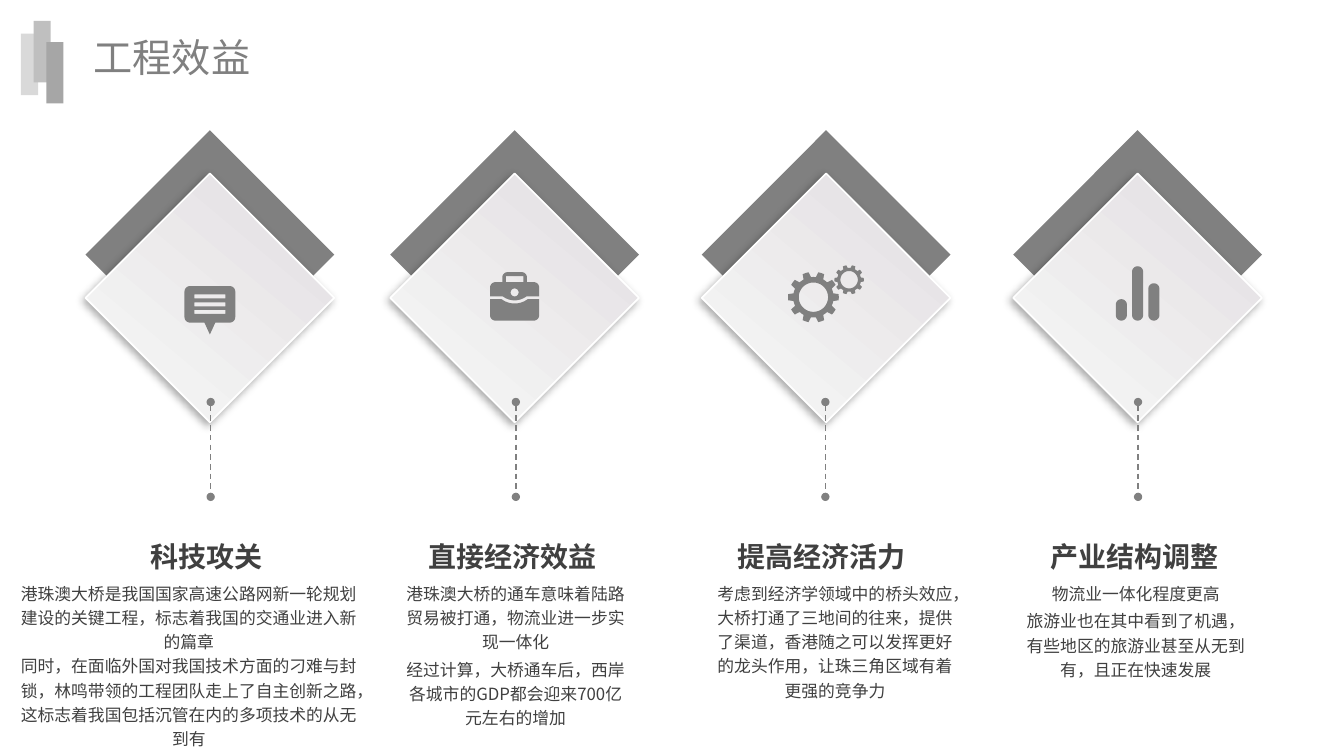
from dataclasses import dataclass
from math import cos, radians, sin

from lxml import etree
from pptx import Presentation
from pptx import util as u
from pptx.dml.color import RGBColor
from pptx.enum import dml, shapes, text
from pptx.oxml.ns import qn


@dataclass(frozen=True)
class Theme:
    font: str = "Noto Sans CJK SC"
    gray: RGBColor = RGBColor(0x80, 0x80, 0x80)
    ink: RGBColor = RGBColor(0x40, 0x40, 0x40)
    white: RGBColor = RGBColor(0xFF, 0xFF, 0xFF)
    marks: tuple = ("D9D9D9", "BFBFBF", "A6A6A6")
    fade: tuple = ((0, "E2DDE1"), (0.76, "F2F2F2"))
    title: int = 28
    head: int = 20
    body: int = 12


theme = Theme()
deck = Presentation()
deck.slide_width, deck.slide_height = u.Cm(33.87), u.Cm(19.05)
slide = deck.slides.add_slide(deck.slide_layouts[6])


def write(lines, left, top, width, height, size, color=theme.ink, bold=False,
          align=text.PP_ALIGN.CENTER, wrap=False, space=None, gap=0):
    box = slide.shapes.add_textbox(u.Cm(left), u.Cm(top), u.Cm(width), u.Cm(height))
    frame = box.text_frame
    frame.word_wrap = wrap
    for i, line in enumerate(lines):
        para = frame.paragraphs[0] if i == 0 else frame.add_paragraph()
        para.alignment = align
        para.line_spacing = space
        if i:
            para.space_before = u.Pt(gap)
        run = para.add_run()
        run.text = line
        font = run.font
        font.size, font.bold, font.name = u.Pt(size), bold, theme.font
        font.color.rgb = color
        etree.SubElement(run._r.get_or_add_rPr(), qn("a:ea"), typeface=theme.font)


def trace(group, mid, *loops):
    """Fill closed loops of (x, y) points and (x, y, radius, from, to) arcs, x counted from mid."""
    pen = None
    for loop in loops:
        dots = []
        for x, y, *arc in loop:
            if arc:
                r, a, b = arc
                count = max(2, round(abs(b - a) / 10))
                turns = [radians(a + (b - a) * i / count) for i in range(count + 1)]
                dots += [(x + r * cos(t), y + r * sin(t)) for t in turns]
            else:
                dots.append((x, y))
        dots = [(u.Cm(mid + x), u.Cm(y)) for x, y in dots]
        if pen is None:
            pen = group.shapes.build_freeform(*dots[0], scale=1.0)
        else:
            pen.move_to(*dots[0])
        pen.add_line_segments(dots[1:], close=True)
    shape = pen.convert_to_shape()
    shape.shadow.inherit = False
    shape.fill.solid()
    shape.fill.fore_color.rgb = theme.gray
    shape.line.fill.background()


# Title and its three bars
for i, (top, color) in enumerate(zip((0.85, 0.53, 1.06), theme.marks)):
    mark = slide.shapes.add_shape(shapes.MSO_SHAPE.RECTANGLE, u.Cm(0.53 + 0.32 * i),
                                  u.Cm(top), u.Cm(0.43), u.Cm(1.55))
    mark.shadow.inherit = False
    mark.fill.solid()
    mark.fill.fore_color.rgb = RGBColor.from_string(color)
    mark.line.fill.background()
write(["工程效益"], 2.11, 0.71, 4.47, 1.45, theme.title, theme.gray,
      align=text.PP_ALIGN.LEFT)

# Diamonds
side = 6.27
mids = (5.29, 12.97, 20.82, 28.67)
for mid in mids:
    back, front = [
        slide.shapes.add_shape(shapes.MSO_SHAPE.DIAMOND, u.Cm(mid - side / 2), u.Cm(top),
                               u.Cm(side), u.Cm(side))
        for top in (3.28, 4.37)]
    back.shadow.inherit = front.shadow.inherit = False
    back.fill.solid()
    back.fill.fore_color.rgb = theme.gray
    back.line.fill.background()
    front.fill.gradient()
    front.fill.gradient_angle = 230
    for stop, (place, color) in zip(front.fill.gradient_stops, theme.fade):
        stop.position = place
        stop.color.rgb = RGBColor.from_string(color)
    front.line.color.rgb = theme.white
    front.line.width = u.Pt(1.25)
    glow = etree.SubElement(front._element.spPr.find(qn("a:effectLst")), qn("a:outerShdw"),
                            blurRad=str(u.Pt(6)), dist=str(u.Pt(3)), dir="8100000",
                            algn="tr", rotWithShape="0")
    black = etree.SubElement(glow, qn("a:srgbClr"), val="000000")
    etree.SubElement(black, qn("a:alpha"), val="32000")

# Icons
chat, case, gears, chart = [slide.shapes.add_group_shape() for _ in mids]

rows = [[(-0.39, y), (0.39, y), (0.39, y + 0.1), (-0.39, y + 0.1)]
        for y in (7.42, 7.62, 7.81)]
trace(chat, mids[0], [(-0.16, 8.08), (0.16, 8.08), (0, 8.43)])
trace(chat, mids[0], [(-0.5, 7.35, 0.14, 180, 270), (0.5, 7.35, 0.14, 270, 360),
                      (0.5, 7.99, 0.14, 0, 90), (-0.5, 7.99, 0.14, 90, 180)], *rows)

trace(case, mids[1], [(-0.62, 7.54), (0, 7.1, 0.55, 127, 53), (0.62, 7.54),
                      (0.48, 7.94, 0.14, 0, 90), (-0.48, 7.94, 0.14, 90, 180)])
trace(case, mids[1],
      [(-0.62, 7.47), (-0.48, 7.25, 0.14, 180, 270), (-0.31, 7.11),
       (-0.18, 6.99, 0.13, 180, 270), (0.18, 6.99, 0.13, 270, 360), (0.31, 7.11),
       (0.48, 7.25, 0.14, 270, 360), (0.62, 7.47), (0, 7.07, 0.5, 53, 127)],
      [(-0.22, 6.96), (0.22, 6.96), (0.22, 7.11), (-0.22, 7.11)],
      [(0, 7.37, 0.1, 0, 360)])

for x, y, tip, root, hole in ((-0.32, 7.49, 0.64, 0.51, 0.37), (0.58, 7.05, 0.37, 0.3, 0.22)):
    teeth = []
    for a in range(0, 360, 36):
        teeth += [(x, y, tip, a - 7, a + 7), (x, y, root, a + 11, a + 25)]
    trace(gears, mids[2], teeth, [(x, y, hole, 0, 360)])

for x, top in ((-0.41, 7.54), (0, 6.71), (0.41, 7.14)):
    trace(chart, mids[3], [(x, top + 0.14, 0.14, 180, 360), (x, 7.94, 0.14, 0, 180)])

# Dashed stems
for x in (5.31, 13, 20.8, 28.68):
    stem = slide.shapes.add_connector(shapes.MSO_CONNECTOR.STRAIGHT, u.Cm(x), u.Cm(10.13),
                                      u.Cm(x), u.Cm(12.52))
    stem.line.color.rgb = theme.gray
    stem.line.width = u.Pt(1)
    stem.line.dash_style = dml.MSO_LINE.DASH
    for end in ("headEnd", "tailEnd"):
        etree.SubElement(stem.line._get_or_add_ln(), qn("a:" + end), type="oval")
    etree.SubElement(stem._element.spPr, qn("a:effectLst"))

# Heads and body copy: head, centre of head, body left, width, height, gap, lines
parts = (
    ("科技攻关", 5.21, 0.25, 9.02, 4.22, 0, [
        "港珠澳大桥是我国国家高速公路网新一轮规划建设的关键工程，标志着我国的交通业进入新的篇章",
        "同时，在面临外国对我国技术方面的刁难与封锁，林鸣带领的工程团队走上了自主创新之路，"
        "这标志着我国包括沉管在内的多项技术的从无到有"]),
    ("直接经济效益", 12.92, 9.86, 6.27, 4.04, 2.4, [
        "港珠澳大桥的通车意味着陆路贸易被打通，物流业进一步实现一体化",
        "经过计算，大桥通车后，西岸各城市的GDP都会迎来700亿元左右的增加"]),
    ("提高经济活力", 20.71, 17.68, 6.73, 3.33, 2.4, [
        "考虑到经济学领域中的桥头效应，大桥打通了三地间的往来，提供了渠道，"
        "香港随之可以发挥更好的龙头作用，让珠三角区域有着更强的竞争力"]),
    ("产业结构调整", 28.59, 25.45, 6.35, 2.82, 2.4, [
        "物流业一体化程度更高",
        "旅游业也在其中看到了机遇，有些地区的旅游业甚至从无到有，且正在快速发展"]),
)
for head, mid, left, width, height, gap, lines in parts:
    write([head], mid - 2.38, 13.46, 4.76, 1.09, theme.head, bold=True)
    write(lines, left, 14.48, width, height, theme.body, wrap=True, space=1.2, gap=gap)

deck.save("out.pptx")
